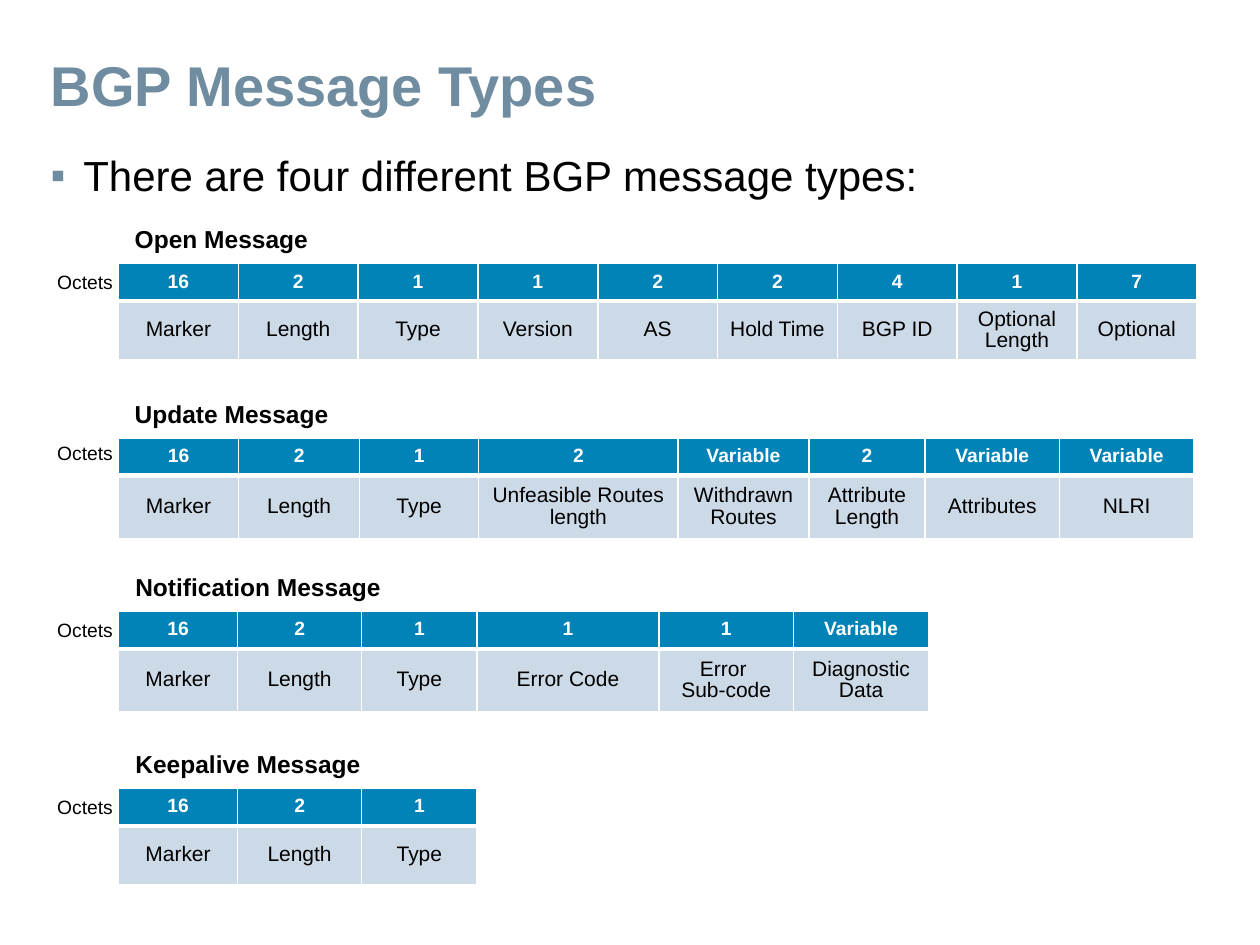
import pptx
import pptx.dml.color
import pptx.enum.text
import pptx.oxml
import pptx.oxml.ns
import pptx.util
from pptx.util import Cm

SLATE = pptx.dml.color.RGBColor(0x70, 0x8C, 0xA1)
BLUE = pptx.dml.color.RGBColor(0x01, 0x83, 0xB7)
PALE = pptx.dml.color.RGBColor(0xCC, 0xD9, 0xE6)
BLACK = pptx.dml.color.RGBColor(0, 0, 0)
WHITE = pptx.dml.color.RGBColor(0xFF, 0xFF, 0xFF)

CENTER = pptx.enum.text.PP_ALIGN.CENTER
LEFT = pptx.enum.text.PP_ALIGN.LEFT
MIDDLE = pptx.enum.text.MSO_ANCHOR.MIDDLE

TABLE_LEFT = 2.39
COMMON_FIELDS = [("16", "Marker"), ("2", "Length"), ("1", "Type")]
SHORT_WIDTHS = [2.4, 2.5, 2.33]

# Each message: caption, caption width, table top, octets top, field row height, widths, fields
MESSAGES = [
    ("Open Message", 4.01, 5.31, 5.38, 1.19, [21.74 / 9] * 9, COMMON_FIELDS + [
        ("1", "Version"), ("2", "AS"), ("2", "Hold Time"), ("4", "BGP ID"),
        ("1", "Optional Length"), ("7", "Optional")]),
    ("Update Message", 4.42, 8.83, 8.83, 1.27,
     [2.42, 2.44, 2.4, 4.02, 2.64, 2.34, 2.71, 2.71], COMMON_FIELDS + [
         ("2", "Unfeasible Routes length"), ("Variable", "Withdrawn Routes"),
         ("2", "Attribute\nLength"), ("Variable", "Attributes"), ("Variable", "NLRI")]),
    ("Notification Message", 5.49, 12.32, 12.4, 1.27,
     SHORT_WIDTHS + [3.66, 2.72, 2.72], COMMON_FIELDS + [
         ("1", "Error Code"), ("1", "Error \nSub-code"), ("Variable", "Diagnostic Data")]),
    ("Keepalive Message", 5.08, 15.89, 15.95, 1.19, SHORT_WIDTHS, COMMON_FIELDS),
]


def write(frame, text, size, color, bold=False, align=CENTER, spacing=0.9):
    """Put formatted text in a text frame."""
    frame.text = text
    for paragraph in frame.paragraphs:
        paragraph.alignment = align
        paragraph.line_spacing = spacing
        for run in paragraph.runs:
            run.font.name = "Arial"
            run.font.size = pptx.util.Pt(size)
            run.font.bold = bold
            run.font.color.rgb = color


def format_title(slide, text):
    """Place and fill the title placeholder."""
    title = slide.shapes.title
    title.left, title.top, title.width, title.height = Cm(0.79), Cm(1.02), Cm(23.67), Cm(1.52)
    frame = title.text_frame
    write(frame, text, 32, SLATE, True, LEFT)
    frame.vertical_anchor = MIDDLE
    frame.margin_left = frame.margin_right = Cm(0.23)


def add_bullet(slide, text):
    """Add the introductory bullet line."""
    frame = slide.shapes.add_textbox(Cm(0.79), Cm(2.82), Cm(23.67), Cm(15.14)).text_frame
    frame.word_wrap = True
    frame.margin_left = frame.margin_right = Cm(0.23)
    frame.margin_top = Cm(0.2)
    write(frame, text, 24, BLACK, align=LEFT, spacing=1.0)
    paragraph = frame.paragraphs[0]
    paragraph.space_after = pptx.util.Pt(6)
    properties = paragraph._p.get_or_add_pPr()
    properties.set("marL", str(Cm(0.66)))
    properties.set("indent", str(-Cm(0.66)))
    namespace = pptx.oxml.ns.nsdecls("a")
    for xml in (f'<a:buClr {namespace}><a:srgbClr val="{SLATE}"/></a:buClr>',
                f'<a:buFont {namespace} typeface="Arial"/>',
                f'<a:buChar {namespace} char="▪"/>'):
        properties.append(pptx.oxml.parse_xml(xml))


def add_label(slide, text, left, top, width, height, size, bold=False):
    """Add a centred one-line label."""
    frame = slide.shapes.add_textbox(Cm(left), Cm(top), Cm(width), Cm(height)).text_frame
    frame.word_wrap = False
    frame.auto_size = pptx.enum.text.MSO_AUTO_SIZE.SHAPE_TO_FIT_TEXT
    write(frame, text, size, BLACK, bold)


def format_cell(cell, text, size, color, bold, fill, borders):
    """Fill a cell and draw white borders of the given widths in points."""
    write(cell.text_frame, text, size, color, bold)
    cell.vertical_anchor = MIDDLE
    cell.margin_left = cell.margin_right = Cm(0.2)
    properties = cell._tc.get_or_add_tcPr()
    for side, points in borders.items():
        properties.append(pptx.oxml.parse_xml(
            f'<a:ln{side} {pptx.oxml.ns.nsdecls("a")} w="{pptx.util.Pt(points)}">'
            f'<a:solidFill><a:srgbClr val="{WHITE}"/></a:solidFill></a:ln{side}>'))
    cell.fill.solid()
    cell.fill.fore_color.rgb = fill


def add_message_table(slide, top, field_height, widths, fields):
    """Add a table of octet counts above field names."""
    heights = [0.76, field_height]
    table = slide.shapes.add_table(2, len(fields), Cm(TABLE_LEFT), Cm(top),
                                   Cm(sum(widths)), Cm(sum(heights))).table
    for row, height in zip(table.rows, heights):
        row.height = Cm(height)
    for index, (width, (octets, field)) in enumerate(zip(widths, fields)):
        table.columns[index].width = Cm(width)
        format_cell(table.cell(0, index), octets, 11, WHITE, True, BLUE,
                    {"L": 1, "R": 1, "T": 1, "B": 3})
        format_cell(table.cell(1, index), field, 12, BLACK, False, PALE,
                    {"L": 1, "R": 1, "T": 3, "B": 1})


def main():
    """Build the slide and save it."""
    deck = pptx.Presentation()
    deck.slide_width, deck.slide_height = Cm(25.4), Cm(19.05)
    slide = deck.slides.add_slide(deck.slide_layouts[5])
    format_title(slide, "BGP Message Types")
    add_bullet(slide, "There are four different BGP message types:")
    for caption, caption_width, top, octets_top, field_height, widths, fields in MESSAGES:
        add_message_table(slide, top, field_height, widths, fields)
        add_label(slide, caption, 2.46, top - 0.85, caption_width, 0.79, 14, True)
        add_label(slide, "Octets", 0.89, octets_top, 1.65, 0.69, 11)
    deck.save("out.pptx")


if __name__ == "__main__":
    main()
